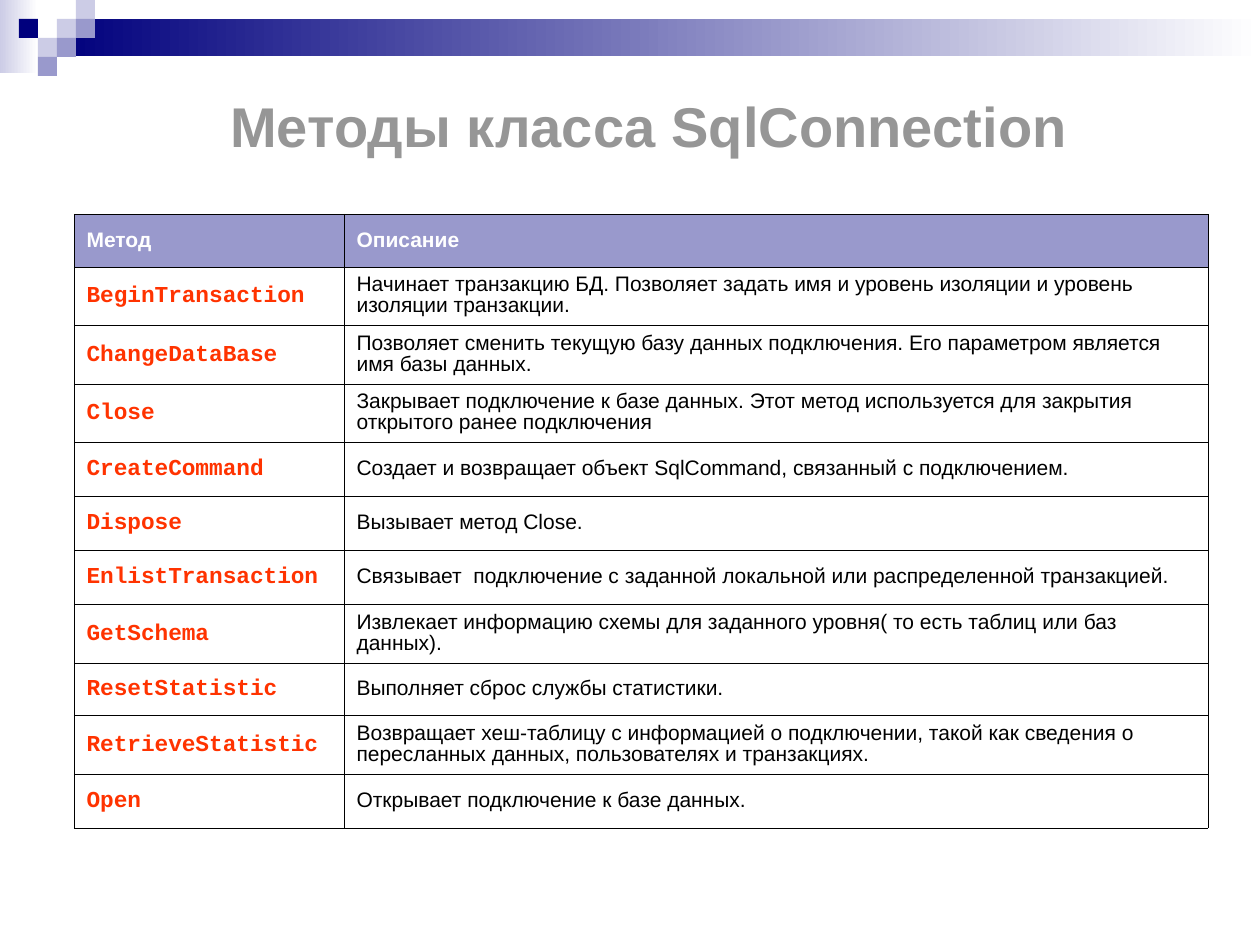
import pptx
import pptx.dml.color
import pptx.enum.shapes
import pptx.enum.text
import pptx.oxml
import pptx.oxml.ns
import pptx.util

SCALE = 914400 / 126  # EMU in one px
COLORS = {
    "white": "FFFFFF", "black": "000000", "navy": "00007D", "pale": "CCCCE6",
    "lavender": "9999CC", "gray": "969696", "red": "FF3300",
}
HEADINGS = ("Метод", "Описание")
HEADING_HEIGHT = 53
COLUMN_WIDTHS = (270, 864)
METHODS = [  # name, description, row height
    ("BeginTransaction", "Начинает транзакцию БД. Позволяет задать имя и уровень "
     "изоляции и уровень изоляции транзакции.", 58),
    ("ChangeDataBase", "Позволяет сменить текущую базу данных подключения. "
     "Его параметром является имя базы данных.", 59),
    ("Close", "Закрывает подключение к базе данных. Этот метод используется "
     "для закрытия открытого ранее подключения", 58),
    ("CreateCommand", "Создает и возвращает объект SqlCommand, связанный "
     "с подключением.", 54),
    ("Dispose", "Вызывает метод Close.", 54),
    ("EnlistTransaction", "Связывает  подключение с заданной локальной или "
     "распределенной транзакцией.", 54),
    ("GetSchema", "Извлекает информацию схемы для заданного уровня( то есть "
     "таблиц или баз данных).", 59),
    ("ResetStatistic", "Выполняет сброс службы статистики.", 52),
    ("RetrieveStatistic", "Возвращает хеш-таблицу с информацией о подключении, "
     "такой как сведения о пересланных данных, пользователях и транзакциях.", 59),
    ("Open", "Открывает подключение к базе данных.", 54),
]


def px(length):
    return pptx.util.Emu(round(length * SCALE))


def rgb(name):
    return pptx.dml.color.RGBColor.from_string(COLORS[name])


def write(frame, text, size, color, font="Arial", bold=False, align=None,
          line_spacing=None, space_before=0):
    frame.word_wrap = True
    para = frame.paragraphs[0]
    para.alignment = align
    para.line_spacing = line_spacing
    para.space_before = pptx.util.Pt(space_before)
    span = para.add_run()
    span.text = text
    span.font.name = font
    span.font.size = pptx.util.Pt(size)
    span.font.bold = bold
    span.font.color.rgb = rgb(color)


def add_block(page, left, top, width, height, color, end_color=None):
    """Add a borderless rectangle, fading rightwards if end_color is given."""
    block = page.shapes.add_shape(pptx.enum.shapes.MSO_SHAPE.RECTANGLE,
                                  px(left), px(top), px(width), px(height))
    block.shadow.inherit = False
    block.line.fill.background()
    if end_color:
        block.fill.gradient()
        block.fill.gradient_angle = 0
        for stop, name in zip(block.fill.gradient_stops, (color, end_color)):
            stop.color.rgb = rgb(name)
    else:
        block.fill.solid()
        block.fill.fore_color.rgb = rgb(color)


def add_header(page, left, top, width, step):
    """Add the fading bands and the mosaic of squares with the given step."""
    add_block(page, left, top, 2 * step, 73, "pale", "white")
    add_block(page, left + 3 * step, top + step, width - 3 * step, 37,
              "navy", "white")
    squares = [(3, 1, "pale"), (4, 0, "pale"), (4, 1, "lavender"),
               (2, 2, "pale"), (1, 1, "navy"), (3, 2, "lavender"),
               (2, 3, "lavender")]
    for column, row, color in squares:
        add_block(page, left + column * step, top + row * step, step, step, color)


def add_title(page, left, top, width, height):
    title = page.shapes.title
    title.left, title.top = px(left), px(top)
    title.width, title.height = px(width), px(height)
    frame = title.text_frame
    frame.auto_size = pptx.enum.text.MSO_AUTO_SIZE.NONE
    frame.vertical_anchor = pptx.enum.text.MSO_ANCHOR.MIDDLE
    write(frame, "Методы класса SqlConnection", 32, "gray", bold=True,
          align=pptx.enum.text.PP_ALIGN.CENTER)


def set_borders(cell, color, width):
    properties = cell._tc.get_or_add_tcPr()
    for index, side in enumerate(("lnL", "lnR", "lnT", "lnB")):
        properties.insert(index, pptx.oxml.parse_xml(
            f'<a:{side} {pptx.oxml.ns.nsdecls("a")} w="{pptx.util.Pt(width)}">'
            f'<a:solidFill><a:srgbClr val="{COLORS[color]}"/></a:solidFill>'
            f'</a:{side}>'))


def fill_cell(cell, text, fill=None, **text_format):
    cell.vertical_anchor = pptx.enum.text.MSO_ANCHOR.MIDDLE
    if fill:
        cell.fill.solid()
        cell.fill.fore_color.rgb = rgb(fill)
    else:
        cell.fill.background()
    set_borders(cell, "black", 0.34)
    write(cell.text_frame, text, **text_format)


def add_method_table(page, left, top):
    heights = [HEADING_HEIGHT] + [height for _, _, height in METHODS]
    table = page.shapes.add_table(
        len(heights), len(COLUMN_WIDTHS), px(left), px(top),
        px(sum(COLUMN_WIDTHS)), px(sum(heights))).table
    table.first_row = table.horz_banding = False
    for column, width in zip(table.columns, COLUMN_WIDTHS):
        column.width = px(width)
    for row, height in zip(table.rows, heights):
        row.height = px(height)
    for column, heading in enumerate(HEADINGS):
        fill_cell(table.cell(0, column), heading, fill="lavender", size=12,
                  color="white", bold=True, space_before=3)
    for row, (name, description, _) in enumerate(METHODS, start=1):
        fill_cell(table.cell(row, 0), name, size=13, color="red",
                  font="Courier New", bold=True, line_spacing=0.9)
        fill_cell(table.cell(row, 1), description, size=12, color="black",
                  line_spacing=0.9)


def main():
    deck = pptx.Presentation()
    deck.slide_width, deck.slide_height = px(1260), px(945)
    page = deck.slides.add_slide(deck.slide_layouts.get_by_name("Title Only"))
    add_header(page, 0, 0, 1260, 19)
    add_title(page, 82, 66, 1134, 118)
    add_method_table(page, 74, 214)
    deck.save("out.pptx")


if __name__ == "__main__":
    main()
